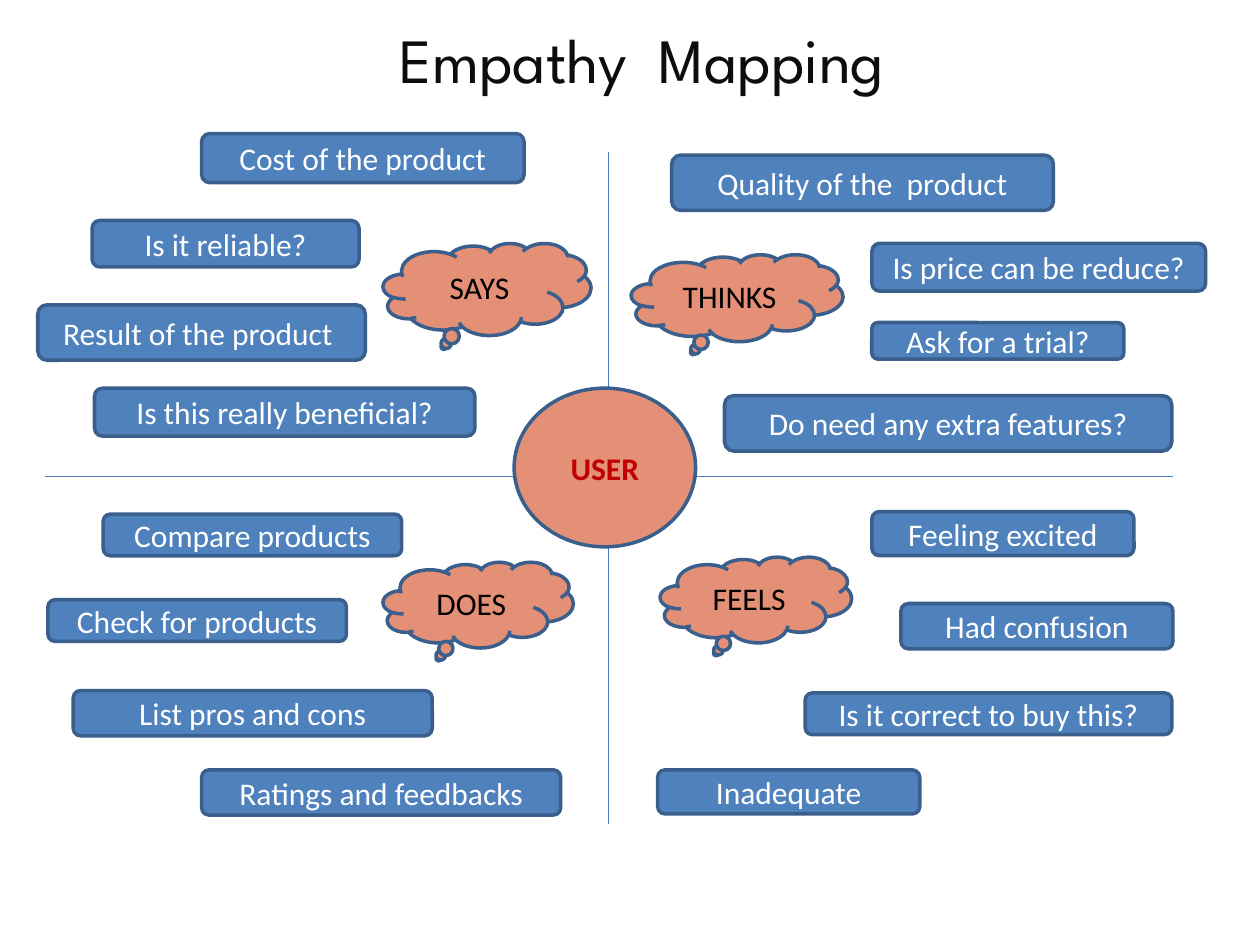
"""Build an empathy map slide with four quadrants around the user."""
from dataclasses import dataclass

from lxml import etree
from pptx import Presentation
from pptx.dml.color import RGBColor
from pptx.enum.shapes import MSO_CONNECTOR, MSO_SHAPE
from pptx.enum.text import MSO_ANCHOR, PP_ALIGN
from pptx.oxml.ns import qn
from pptx.util import Pt

CLOUD = MSO_SHAPE.CLOUD_CALLOUT
OVAL = MSO_SHAPE.OVAL
ROUNDED = MSO_SHAPE.ROUNDED_RECTANGLE
STRAIGHT = MSO_CONNECTOR.STRAIGHT
MIDDLE = MSO_ANCHOR.MIDDLE
CENTER = PP_ALIGN.CENTER

SALMON = RGBColor(0xE4, 0x90, 0x76)
BLUE = RGBColor(0x4F, 0x81, 0xBD)
OUTLINE = RGBColor(0x3A, 0x5F, 0x8C)
AXIS_BLUE = RGBColor(0x4B, 0x7E, 0xBC)
RED = RGBColor(0xC0, 0x00, 0x00)
BLACK = RGBColor(0x00, 0x00, 0x00)
TITLE_BLACK = RGBColor(0x0D, 0x0D, 0x0D)
WHITE = RGBColor(0xFF, 0xFF, 0xFF)


@dataclass(frozen=True)
class Item:
    """A labelled shape, with lengths in points."""
    text: str
    left: float
    top: float
    width: float
    height: float


TITLE = Item("Empathy  Mapping", 44.6, 0, 644.4, 66.2)
USER = Item("USER", 293.8, 221.8, 103.7, 90.7)
QUADRANTS = (
    Item("SAYS", 218.9, 139, 118.8, 52.6),
    Item("THINKS", 360.7, 145.4, 121, 49.7),
    Item("DOES", 218.9, 321.1, 108.7, 49),
    Item("FEELS", 377.3, 318.2, 109.4, 49),
)
NOTES = (
    Item("Cost of the product", 115.2, 76.3, 184.3, 28.1),
    Item("Is it reliable?", 52.6, 126, 152.6, 26.6),
    Item("Result of the product ", 21.6, 174.2, 187.2, 31.7),
    Item("Is this really beneficial?", 54, 221.8, 217.4, 27.4),
    Item("Quality of the  product", 383.8, 88.6, 218.2, 31.7),
    Item("Is price can be reduce?", 498.2, 139, 190.8, 27.4),
    Item("Ask for a trial?", 498.2, 184.3, 144, 20.9),
    Item("Do need any extra features?", 414, 226.1, 255.6, 31.7),
    Item("Compare products", 59, 293.8, 170.6, 23.8),
    Item("Check for products", 27.4, 342.7, 170.6, 23.8),
    Item("List pros and cons", 41.8, 394.6, 205.2, 25.9),
    Item("Ratings and feedbacks", 115.2, 439.9, 205.2, 25.9),
    Item("Feeling excited", 498.2, 292.3, 149.8, 25.2),
    Item("Had confusion", 514.8, 344.9, 155.5, 25.9),
    Item("Is it correct to buy this?", 460.1, 396, 209.5, 23.8),
    Item("Inadequate", 375.8, 439.9, 149.8, 25.2),
)
AXES = ((347.8, 87.1, 347.8, 470.9), (25.9, 272.2, 670.3, 272.2))


def write_text(shape, text: str, *, color: RGBColor, size: float = 18,
               font: str = "Calibri", bold: bool = False) -> None:
    """Write one centred line of text into a shape."""
    frame = shape.text_frame
    frame.word_wrap = True
    frame.vertical_anchor = MIDDLE
    paragraph = frame.paragraphs[0]
    paragraph.alignment = CENTER
    run = paragraph.add_run()
    run.text = text
    run.font.name = font
    run.font.size = Pt(size)
    run.font.bold = bold
    run.font.color.rgb = color


def bounds(item: Item) -> tuple:
    """Return the position and size of an item as lengths."""
    return tuple(Pt(value) for value in
                 (item.left, item.top, item.width, item.height))


def add_item(slide, item: Item, kind, fill: RGBColor, color: RGBColor,
             bold: bool = False) -> None:
    """Draw a filled, outlined shape with its label."""
    shape = slide.shapes.add_shape(kind, *bounds(item))
    shape.shadow.inherit = False
    shape.fill.solid()
    shape.fill.fore_color.rgb = fill
    shape.line.color.rgb = OUTLINE
    shape.line.width = Pt(2)
    write_text(shape, item.text, color=color, bold=bold)


def add_axis(slide, ends: tuple) -> None:
    """Draw a thin dividing line."""
    axis = slide.shapes.add_connector(STRAIGHT, *(Pt(end) for end in ends))
    axis.line.color.rgb = AXIS_BLUE
    axis.line.width = Pt(0.75)
    etree.SubElement(axis.element.spPr, qn("a:effectLst"))


def build() -> None:
    """Build and save the presentation."""
    presentation = Presentation()
    presentation.slide_width = Pt(720)
    presentation.slide_height = Pt(540)
    slide = presentation.slides.add_slide(presentation.slide_layouts[6])
    title = slide.shapes.add_textbox(*bounds(TITLE))
    write_text(title, TITLE.text, color=TITLE_BLACK, size=36,
               font="League Spartan")
    for quadrant in QUADRANTS:
        add_item(slide, quadrant, CLOUD, SALMON, BLACK)
    for ends in AXES:
        add_axis(slide, ends)
    add_item(slide, USER, OVAL, SALMON, RED, bold=True)
    for note in NOTES:
        add_item(slide, note, ROUNDED, BLUE, WHITE)
    presentation.save("out.pptx")


build()
